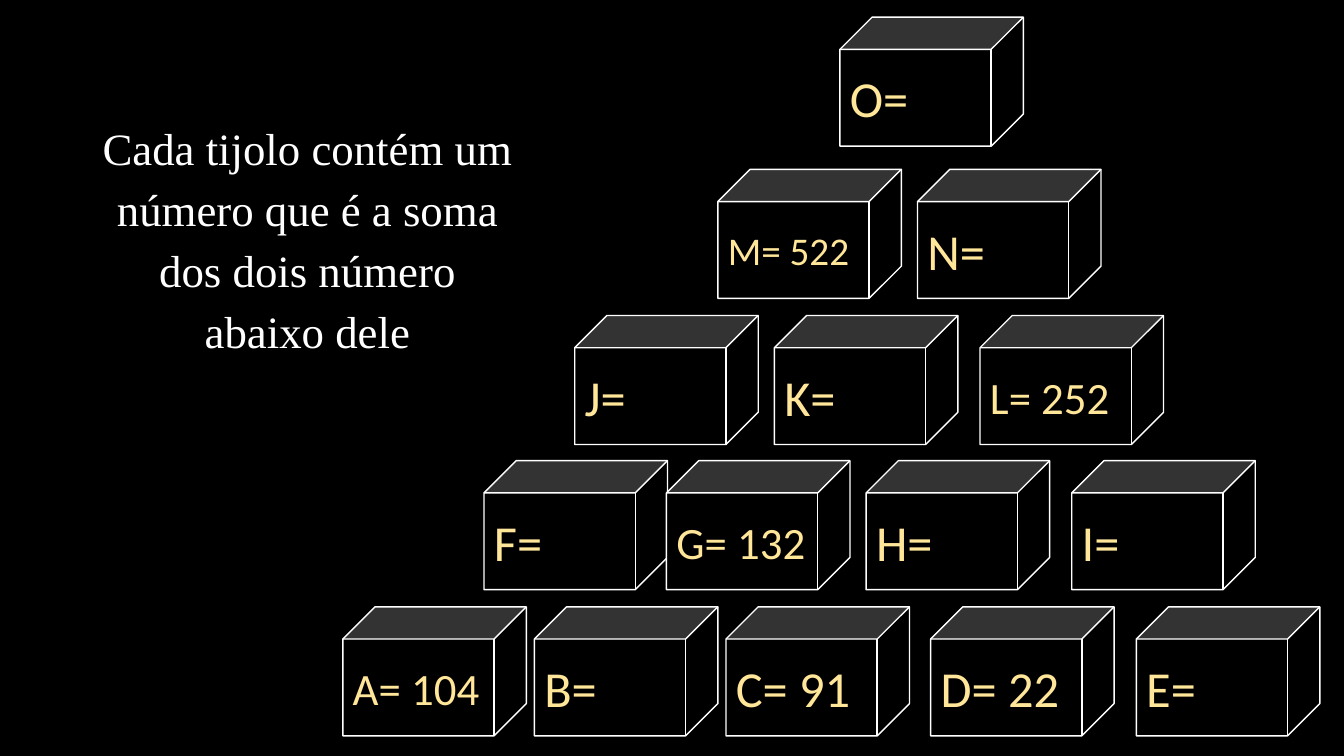
from pptx import Presentation
from pptx.dml.color import RGBColor
from pptx.enum.shapes import MSO_SHAPE
from pptx.enum.text import MSO_ANCHOR, PP_ALIGN
from pptx.util import Inches, Pt

CUBE = MSO_SHAPE.CUBE
MIDDLE = MSO_ANCHOR.MIDDLE
LEFT, CENTER = PP_ALIGN.LEFT, PP_ALIGN.CENTER

RULE = "Cada tijolo contém um número que é a soma dos dois número abaixo dele"
RULE_BOX = (0.88, 1.07, 4.34, 2.51)

# Each row: top, then its bricks as (left, label, type size)
ROWS = [
    (0.17, [(8.33, "O=", "large")]),
    (1.68, [(7.12, "M= 522", "small"), (9.1, "N=", "large")]),
    (3.13, [(5.7, "J=", "large"), (7.68, "K=", "large"),
            (9.72, "L= 252", "medium")]),
    (4.57, [(4.8, "F=", "large"), (6.61, "G= 132", "medium"),
            (8.59, "H=", "large"), (10.63, "I=", "large")]),
    (6.02, [(3.4, "A= 104", "medium"), (5.3, "B=", "large"),
            (7.2, "C= 91", "large"), (9.23, "D= 22", "large"),
            (11.27, "E=", "large")]),
]
BRICK = (1.82, 1.28)

THEME = {
    "back": RGBColor(0, 0, 0),
    "white": RGBColor(255, 255, 255),
    "label": RGBColor(0xFF, 0xE6, 0x99),
    "brick font": "Calibri",
    "rule font": "Times New Roman",
    "small": Pt(28),
    "medium": Pt(32),
    "large": Pt(36),
    "line": Pt(1),
    "spacing": 1.14,
}


def write(shape, text, font, size, color, align):
    """Put one wrapped paragraph into a shape and return it."""
    frame = shape.text_frame
    frame.word_wrap = True
    para = frame.paragraphs[0]
    para.text = text
    para.alignment = align
    para.font.name = THEME[font]
    para.font.size = THEME[size]
    para.font.color.rgb = THEME[color]
    return para


def add_brick(slide, left, top, label, size):
    """Draw one labelled brick of the wall."""
    brick = slide.shapes.add_shape(CUBE, *map(Inches, (left, top, *BRICK)))
    brick.shadow.inherit = False
    brick.fill.solid()
    brick.fill.fore_color.rgb = THEME["back"]
    brick.line.color.rgb = THEME["white"]
    brick.line.width = THEME["line"]
    brick.text_frame.vertical_anchor = MIDDLE
    write(brick, label, "brick font", size, "label", LEFT)


def add_rule(slide):
    """Add the sentence that explains the wall."""
    box = slide.shapes.add_textbox(*map(Inches, RULE_BOX))
    para = write(box, RULE, "rule font", "medium", "white", CENTER)
    para.line_spacing = THEME["spacing"]


def main():
    """Build the slide and save it."""
    deck = Presentation()
    deck.slide_width, deck.slide_height = Inches(13.33), Inches(7.5)
    slide = deck.slides.add_slide(deck.slide_layouts[6])
    fill = slide.background.fill
    fill.solid()
    fill.fore_color.rgb = THEME["back"]
    for top, bricks in ROWS:
        for left, label, size in bricks:
            add_brick(slide, left, top, label, size)
    add_rule(slide)
    deck.save("out.pptx")


main()
